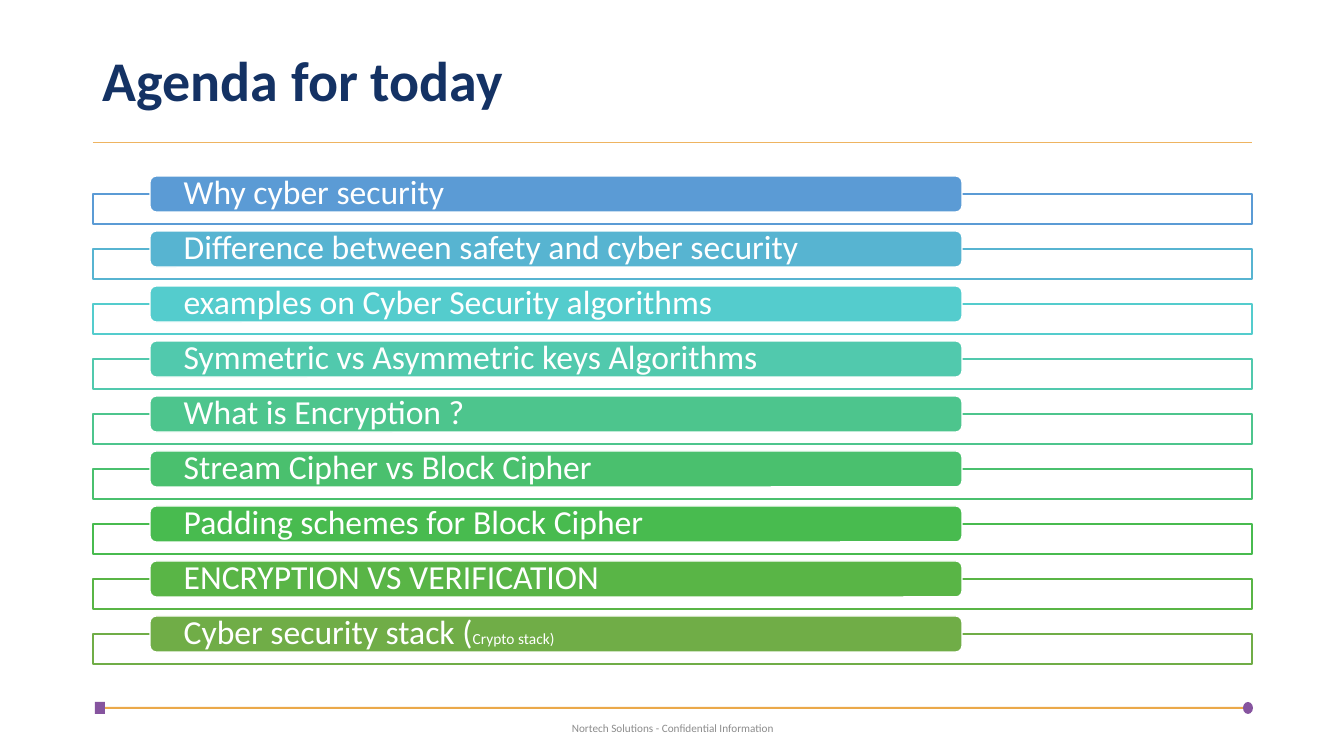
from dataclasses import dataclass

from lxml import etree
from pptx import Presentation
from pptx.dml.color import RGBColor
from pptx.enum.shapes import MSO_CONNECTOR, MSO_SHAPE
from pptx.enum.text import MSO_ANCHOR, MSO_AUTO_SIZE, PP_ALIGN
from pptx.oxml.ns import qn
from pptx.util import Pt

RECT, ROUND, OVAL = MSO_SHAPE.RECTANGLE, MSO_SHAPE.ROUNDED_RECTANGLE, MSO_SHAPE.OVAL
STRAIGHT = MSO_CONNECTOR.STRAIGHT
MIDDLE, NO_FIT = MSO_ANCHOR.MIDDLE, MSO_AUTO_SIZE.NONE
LEFT, CENTER = PP_ALIGN.LEFT, PP_ALIGN.CENTER

FONT = "Calibri"
WHITE = RGBColor(0xFF, 0xFF, 0xFF)
NAVY = RGBColor(0x14, 0x32, 0x64)
GREY = RGBColor(0x8C, 0x8C, 0x8C)
SAND = RGBColor(0xEE, 0xB4, 0x61)
ORANGE = RGBColor(0xEB, 0xA9, 0x4A)
PURPLE = RGBColor(0x86, 0x54, 0x9F)

SLIDE_W, SLIDE_H = 1344, 756
MARGIN, CONTENT_W = 93, 1159
FRAME_TOP, FRAME_H, PITCH = 194, 30, 55
BAR_LEFT, BAR_W, BAR_H, BAR_RISE, BAR_INSET = 150, 812, 36, 18, 32


@dataclass(frozen=True)
class Topic:
    text: str
    color: RGBColor
    small: str = ""


@dataclass(frozen=True)
class Ornament:
    kind: int
    box: tuple[int, int, int, int]
    color: RGBColor


TOPICS = [
    Topic("Why cyber security", RGBColor(0x5B, 0x9B, 0xD5)),
    Topic("Difference between safety and cyber security", RGBColor(0x57, 0xB4, 0xD1)),
    Topic("examples on Cyber Security algorithms", RGBColor(0x54, 0xCC, 0xCD)),
    Topic("Symmetric vs Asymmetric keys Algorithms", RGBColor(0x51, 0xC9, 0xAD)),
    Topic("What is Encryption ?", RGBColor(0x4D, 0xC5, 0x8D)),
    Topic("Stream Cipher vs Block Cipher", RGBColor(0x4A, 0xC0, 0x6E)),
    Topic("Padding schemes for Block Cipher", RGBColor(0x48, 0xBB, 0x4F)),
    Topic("ENCRYPTION VS VERIFICATION", RGBColor(0x59, 0xB5, 0x46)),
    Topic("Cyber security stack (", RGBColor(0x70, 0xAD, 0x47), small="Crypto stack)"),
]
ORNAMENTS = [
    Ornament(RECT, (100, 707, 1148, 2), ORANGE),
    Ornament(RECT, (95, 702, 10, 12), PURPLE),
    Ornament(OVAL, (1243, 702, 10, 12), PURPLE),
]


def px(n: int) -> int:
    return n * 12192000 // SLIDE_W


def add_box(s, kind, box, fill: RGBColor, line: RGBColor | None = None):
    sp = s.shapes.add_shape(kind, *map(px, box))
    sp.shadow.inherit = False
    sp.fill.solid()
    sp.fill.fore_color.rgb = fill
    if line is None:
        sp.line.fill.background()
    else:
        sp.line.color.rgb = line
        sp.line.width = Pt(1)
    return sp


def set_alpha(sp, percent: int) -> None:
    color = sp.fill._xPr.find(qn("a:solidFill"))[0]
    etree.SubElement(color, qn("a:alpha")).set("val", str(percent * 1000))


def write(sp, text: str, *, size: int, color: RGBColor, bold: bool = False,
          align=LEFT, spacing: float = 1.0, inset: tuple[int, int] = (10, 5),
          small: str = "", small_size: int = 11) -> None:
    """Fill a shape with one paragraph; small is a smaller ending on the same line."""
    tf = sp.text_frame
    tf.word_wrap = True
    tf.auto_size = NO_FIT
    tf.vertical_anchor = MIDDLE
    tf.margin_left = tf.margin_right = px(inset[0])
    tf.margin_top = tf.margin_bottom = px(inset[1])
    p = tf.paragraphs[0]
    p.alignment = align
    p.line_spacing = spacing
    for part, points in ((text, size), (small, small_size)):
        if part:
            r = p.add_run()
            r.text = part
            r.font.name = FONT
            r.font.size = Pt(points)
            r.font.bold = bold
            r.font.color.rgb = color


def add_rule(s, y: int) -> None:
    rule = s.shapes.add_connector(
        STRAIGHT, px(MARGIN), px(y), px(MARGIN + CONTENT_W), px(y))
    rule.line.color.rgb = SAND
    rule.line.width = Pt(0.5)
    etree.SubElement(rule.line._ln.getparent(), qn("a:effectLst"))


def add_topic(s, topic: Topic, top: int) -> None:
    frame = add_box(s, RECT, (MARGIN, top, CONTENT_W, FRAME_H), WHITE, topic.color)
    set_alpha(frame, 90)
    bar = add_box(s, ROUND, (BAR_LEFT, top - BAR_RISE, BAR_W, BAR_H), topic.color, WHITE)
    write(bar, topic.text, size=24, color=WHITE, spacing=0.9,
          inset=(BAR_INSET, 0), small=topic.small)


def main() -> None:
    prs = Presentation()
    prs.slide_width, prs.slide_height = px(SLIDE_W), px(SLIDE_H)
    s = prs.slides.add_slide(prs.slide_layouts[5])

    title = s.shapes.title
    title.left, title.top, title.width, title.height = map(px, (MARGIN, 40, CONTENT_W, 86))
    write(title, "Agenda for today", size=40, color=NAVY, bold=True, spacing=0.9)

    for o in ORNAMENTS:
        add_box(s, o.kind, o.box, o.color)
    add_rule(s, 142)
    for i, topic in enumerate(TOPICS):
        add_topic(s, topic, FRAME_TOP + i * PITCH)

    footer = s.shapes.add_textbox(*map(px, (446, 716, 454, 25)))
    write(footer, "Nortech Solutions - Confidential Information",
          size=8, color=GREY, align=CENTER)
    prs.save("out.pptx")


if __name__ == "__main__":
    main()
